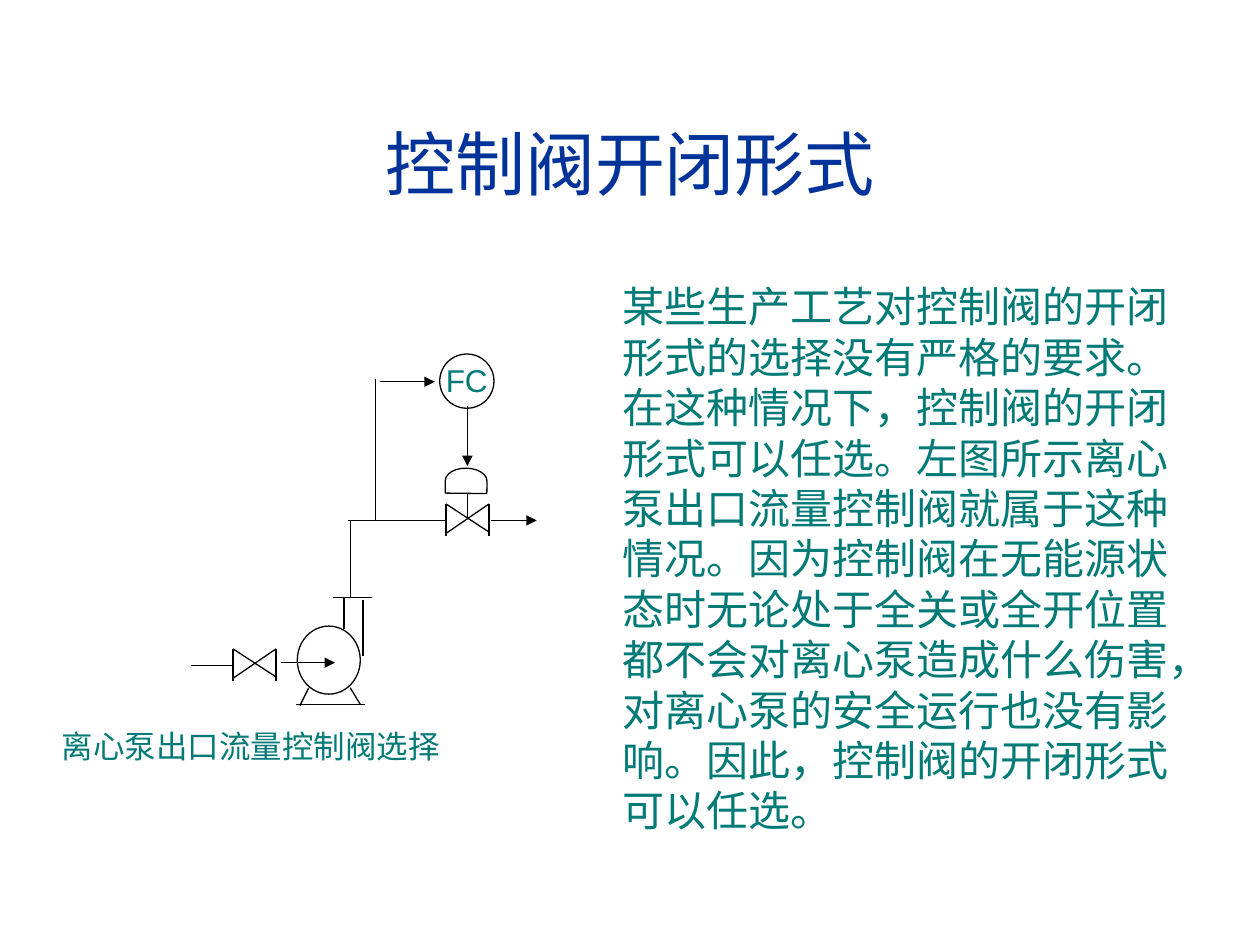
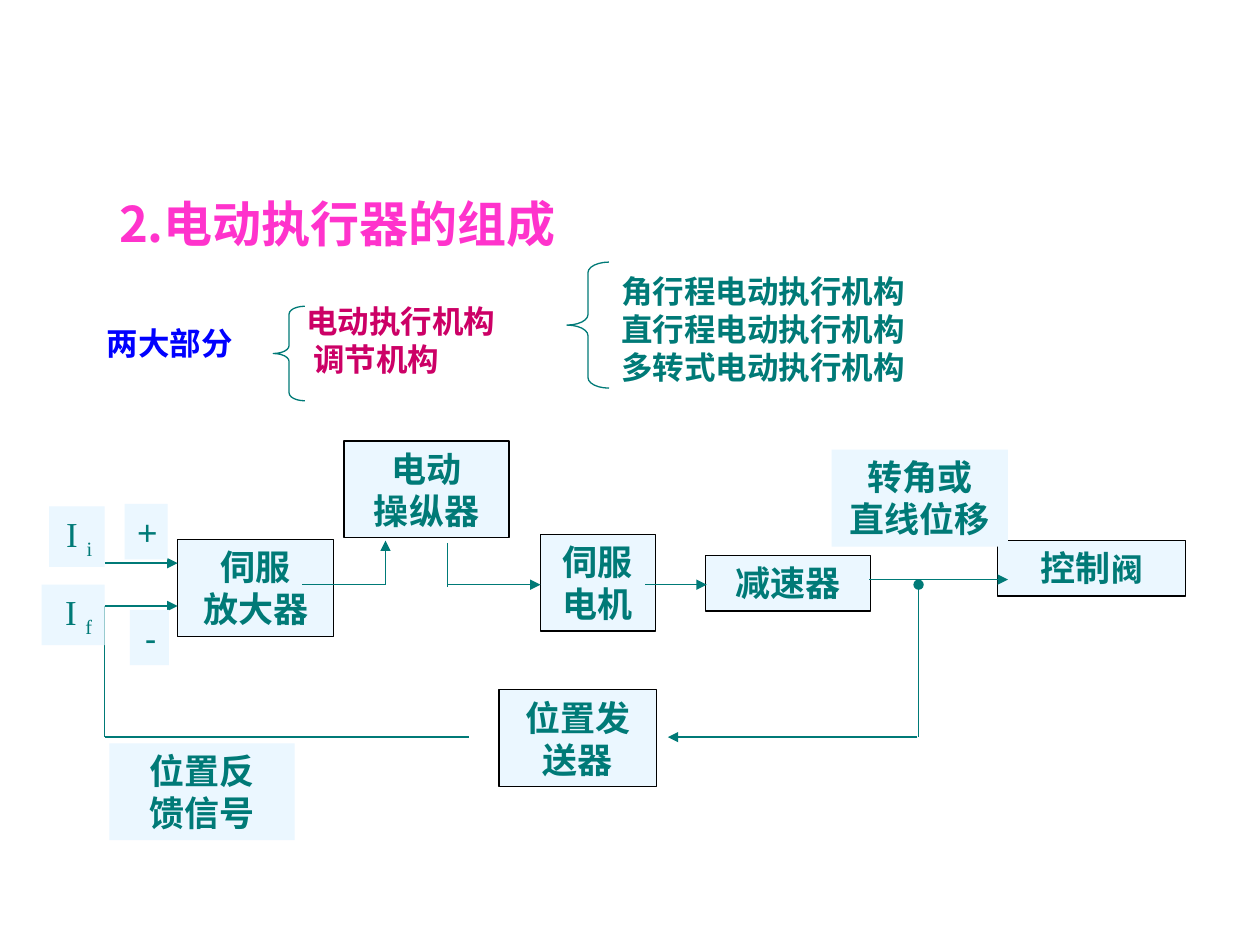
"""Build two slides on control valve action and the parts of an electric actuator."""
from dataclasses import dataclass
from typing import NamedTuple, Optional, Union

from lxml.etree import SubElement
from pptx import Presentation
from pptx.dml.color import RGBColor
from pptx.enum.shapes import MSO_CONNECTOR, MSO_SHAPE
from pptx.enum.text import MSO_ANCHOR, PP_ALIGN
from pptx.oxml.ns import qn
from pptx.shapes.base import BaseShape
from pptx.slide import Slide
from pptx.util import Pt


@dataclass(frozen=True)
class Theme:
    """Colours, fonts and sizes used by both slides."""
    title: str = "003399"
    teal: str = "007A77"
    pink: str = "FF33CC"
    crimson: str = "CC0066"
    blue: str = "0000FF"
    black: str = "000000"
    white: str = "FFFFFF"
    pale: str = "EBF7FF"
    sans: str = "Arial"
    chinese: str = "Noto Sans CJK SC"
    serif: str = "Times New Roman"
    title_size: float = 40
    heading_size: float = 28
    body_size: float = 24
    block_size: float = 20
    small_size: float = 18
    line_width: float = 0.75


THEME = Theme()


class Frame(NamedTuple):
    """Place and size in points."""
    left: float
    top: float
    width: float
    height: float


class Span(NamedTuple):
    """Part of a paragraph with its own size or a subscript."""
    text: str
    size: Optional[float] = None
    subscript: bool = False


class Line(NamedTuple):
    """Straight line in points with optional ends."""
    x1: float
    y1: float
    x2: float
    y2: float
    tail: str = ""
    head: str = ""


class Outline(NamedTuple):
    """Preset shape without text."""
    kind: MSO_SHAPE
    frame: Frame
    fill: Optional[str] = THEME.white
    color: str = THEME.black
    rotation: float = 0
    adjustment: Optional[float] = None


class Paragraph(NamedTuple):
    """Spans of one paragraph and its left indent."""
    spans: tuple[Span, ...]
    indent: float = 0


@dataclass(frozen=True)
class Label:
    """Text box, filled and bordered on request."""
    frame: Frame
    paragraphs: tuple[Union[str, Paragraph], ...]
    size: float = THEME.small_size
    color: str = THEME.teal
    font: str = THEME.sans
    bold: bool = False
    align: PP_ALIGN = PP_ALIGN.LEFT
    anchor: MSO_ANCHOR = MSO_ANCHOR.TOP
    fill: Optional[str] = None
    border: Optional[str] = None
    wrap: bool = True


def block(frame: Frame, *paragraphs: Union[str, Paragraph], border: Optional[str] = THEME.black) -> Label:
    """Describe a pale block with bold centred text."""
    return Label(frame, paragraphs, THEME.block_size, bold=True, align=PP_ALIGN.CENTER,
                 fill=THEME.pale, border=border)


def signal(frame: Frame, *spans: Span, font: str = THEME.sans) -> Label:
    """Describe a pale signal mark with text set to the right."""
    return Label(frame, (Paragraph(spans),), THEME.block_size, font=font,
                 align=PP_ALIGN.RIGHT, fill=THEME.pale)


def valve(left: float, top: float) -> list[Line]:
    """Return the two posts and two diagonals of a valve symbol."""
    right = left + 24.5
    posts = [Line(x, top, x, top + 18.4) for x in (left, right)]
    return posts + [Line(left, top, right, top + 16), Line(right, top, left, top + 16.8)]


def paint(shape: BaseShape, fill: Optional[str], border: Optional[str]) -> None:
    """Set fill and border, with none where no colour is given."""
    if fill:
        shape.fill.solid()
        shape.fill.fore_color.rgb = RGBColor.from_string(fill)
    else:
        shape.fill.background()
    if border:
        shape.line.color.rgb = RGBColor.from_string(border)
        shape.line.width = Pt(THEME.line_width)
    else:
        shape.line.fill.background()


def draw_line(slide: Slide, line: Line, color: str) -> None:
    """Draw one connector with its ends."""
    connector = slide.shapes.add_connector(
        MSO_CONNECTOR.STRAIGHT, Pt(line.x1), Pt(line.y1), Pt(line.x2), Pt(line.y2))
    connector.line.color.rgb = RGBColor.from_string(color)
    connector.line.width = Pt(THEME.line_width)
    for tag, kind in (("a:headEnd", line.head), ("a:tailEnd", line.tail)):
        if kind:
            SubElement(connector.line._get_or_add_ln(), qn(tag), type=kind)
    SubElement(connector._element.spPr, qn("a:effectLst"))


def draw_outline(slide: Slide, outline: Outline) -> None:
    """Draw one preset shape."""
    shape = slide.shapes.add_shape(outline.kind, *map(Pt, outline.frame))
    shape.shadow.inherit = False
    shape.rotation = outline.rotation
    if outline.adjustment is not None:
        shape.adjustments[0] = outline.adjustment
    paint(shape, outline.fill, outline.color)


def draw_label(slide: Slide, label: Label) -> None:
    """Draw one text box with its paragraphs."""
    shape = slide.shapes.add_textbox(*map(Pt, label.frame))
    paint(shape, label.fill, label.border)
    text_frame = shape.text_frame
    text_frame.word_wrap = label.wrap
    text_frame.vertical_anchor = label.anchor
    for index, content in enumerate(label.paragraphs):
        if isinstance(content, str):
            content = Paragraph((Span(content),))
        paragraph = text_frame.add_paragraph() if index else text_frame.paragraphs[0]
        paragraph.alignment = label.align
        if content.indent:
            paragraph._p.get_or_add_pPr().set("marL", str(Pt(content.indent)))
        paragraph.font.name = label.font
        paragraph.font.size = Pt(label.size)
        paragraph.font.bold = label.bold
        paragraph.font.color.rgb = RGBColor.from_string(label.color)
        for span in content.spans:
            run = paragraph.add_run()
            run.text = span.text
            if span.size:
                run.font.size = Pt(span.size)
            if span.subscript:
                run.font._element.set("baseline", "-25000")


def draw_all(slide: Slide, items: list, line_color: str) -> None:
    """Draw described elements from back to front."""
    for item in items:
        if isinstance(item, Line):
            draw_line(slide, item, line_color)
        elif isinstance(item, Outline):
            draw_outline(slide, item)
        else:
            draw_label(slide, item)


PIPE_Y = 297.4
FLANGE_Y = 341.3
BASE_Y = 402.5

PUMP_PIPES = [
    Line(198.7, PIPE_Y, 254.9, PIPE_Y),
    Line(200.2, PIPE_Y, 200.2, FLANGE_Y),
    Line(190.1, FLANGE_Y, 212.4, FLANGE_Y),
    Line(196.6, FLANGE_Y, 196.6, 359.3),
    Line(207.4, 342.7, 207.4, 375.1),
    Line(109.4, 380.2, 133.2, 380.2),
    Line(214.6, PIPE_Y, 214.6, 216.7),
    Line(267.1, 278.6, 267.1, 295.9),
    Line(176.4, 393.1, 171.4, 403.2),
    Line(200.2, 393.1, 205.9, BASE_Y),
    Line(169.2, BASE_Y, 208.8, BASE_Y),
    *valve(254.9, 288),
    *valve(133.2, 370.8),
]
PUMP_EQUIPMENT = [
    Outline(MSO_SHAPE.FLOWCHART_DELAY, Frame(259.2, 262.8, 14.4, 23.8), rotation=270.7),
    Outline(MSO_SHAPE.OVAL, Frame(251.3, 202.3, 31, 31)),
    Outline(MSO_SHAPE.OVAL, Frame(169.9, 357.8, 36, 38.9)),
]
PUMP_ARROWS = [
    Line(280.8, PIPE_Y, 306.7, PIPE_Y, "triangle"),
    Line(267.1, 231.8, 267.1, 266.4, "triangle"),
    Line(160.6, 378.7, 191.5, 378.7, "triangle"),
    Line(217.4, 218.2, 248.4, 218.2, "triangle"),
]
PUMP_TEXTS = [
    Label(Frame(24, 48, 672, 90), ("控制阀开闭形式",), THEME.title_size, THEME.title,
          align=PP_ALIGN.CENTER, anchor=MSO_ANCHOR.MIDDLE),
    Label(Frame(247.7, 203, 45.4, 28.8), ("FC",)),
    Label(Frame(28.1, 411.8, 317.5, 28.8), ("离心泵出口流量控制阀选择",), align=PP_ALIGN.JUSTIFY),
    Label(Frame(348.5, 157, 345.6, 324), (
        "某些生产工艺对控制阀的开闭形式的选择没有严格的要求。在这种情况下，控制阀的开闭形式可以任选。"
        "左图所示离心泵出口流量控制阀就属于这种情况。因为控制阀在无能源状态时无论处于全关或全开位置"
        "都不会对离心泵造成什么伤害，对离心泵的安全运行也没有影响。因此，控制阀的开闭形式可以任选。",
    ), THEME.body_size),
]

ACTUATOR_OUTLINE = [
    Label(Frame(61, 106.8, 293, 42), ("2.电动执行器的组成",), THEME.heading_size, THEME.pink,
          THEME.chinese, bold=True),
    Label(Frame(167.8, 169.2, 198, 50.4),
          ("电动执行机构", Paragraph((Span("调节机构"),), indent=4)),
          color=THEME.crimson, font=THEME.chinese, bold=True),
    Label(Frame(54, 181.4, 86.4, 28.8), ("两大部分",), color=THEME.blue, bold=True, wrap=False),
    Label(Frame(347.8, 151.9, 257.8, 72),
          tuple(f"{motion}电动执行机构" for motion in ("角行程", "直行程", "多转式")), bold=True),
    *(Outline(MSO_SHAPE.LEFT_BRACE, frame, None, THEME.teal, adjustment=0.25)
      for frame in (Frame(156.2, 175, 18, 54), Frame(324, 149.8, 24, 72))),
]

TALL, SHORT = 55.4, 31.7
LOOP_Y = 334.1
FEEDBACK_X, FEEDBACK_Y = 59.8, 421.2
INPUT_Y, RETURN_Y = 321.8, 346.3

ACTUATOR_BLOCKS = [
    block(Frame(196.6, 252, 94.3, TALL), "电动", "操纵器"),
    block(Frame(101.5, 308.2, 89.3, TALL), "伺服", "放大器"),
    block(Frame(308.9, 305.3, 65.5, TALL), "伺服", "电机"),
    block(Frame(570.2, 308.9, 107.3, SHORT),
          Paragraph((Span("控制"), Span("阀", THEME.small_size)))),
    block(Frame(285.1, 394.2, 90, TALL), "位置发送器"),
    block(Frame(403.2, 317.5, 94.3, SHORT), "减速器"),
    block(Frame(475.2, 257, 100.8, TALL), "转角或", "直线位移", border=None),
]
ACTUATOR_LINES = [
    Line(220.3, LOOP_Y, 220.3, 308.9, "triangle"),
    Line(220.3, LOOP_Y, 172.8, LOOP_Y),
    Line(255.6, 310.3, 255.6, 335.5),
    Line(255.6, LOOP_Y, 308.9, LOOP_Y, "triangle"),
    Line(368.6, LOOP_Y, 403.9, LOOP_Y, "triangle"),
    Line(496.8, 331.2, 576, 331.2, "triangle"),
    Line(524.9, LOOP_Y, 524.9, FEEDBACK_Y, head="oval"),
    Line(524.2, FEEDBACK_Y, 381.6, FEEDBACK_Y, "triangle"),
    Line(FEEDBACK_X, INPUT_Y, 101.5, INPUT_Y, "triangle"),
    Line(FEEDBACK_X, RETURN_Y, 101.5, RETURN_Y, "triangle"),
    Line(267.8, FEEDBACK_Y, FEEDBACK_X, FEEDBACK_Y),
    Line(FEEDBACK_X, FEEDBACK_Y, FEEDBACK_X, RETURN_Y),
]
ACTUATOR_SIGNALS = [
    signal(Frame(71.3, 288, 24.5, SHORT), Span("+")),
    signal(Frame(74.2, 348.5, 22.3, SHORT), Span("-")),
    block(Frame(62.6, 424.8, 105.8, TALL), "位置反", "馈信号", border=None),
    signal(Frame(28.1, 289.4, 31.7, 34.6), Span("I "), Span("i", subscript=True), font=THEME.serif),
    signal(Frame(23.8, 334.1, 36, 34.6), Span("I "), Span("f", subscript=True), font=THEME.serif),
]


def main() -> None:
    """Build both slides and save the presentation."""
    presentation = Presentation()
    presentation.slide_width, presentation.slide_height = Pt(720), Pt(540)
    blank = presentation.slide_layouts[6]
    pages = (
        (PUMP_PIPES + PUMP_EQUIPMENT + PUMP_ARROWS + PUMP_TEXTS, THEME.black),
        (ACTUATOR_OUTLINE + ACTUATOR_BLOCKS + ACTUATOR_LINES + ACTUATOR_SIGNALS, THEME.teal),
    )
    for items, line_color in pages:
        draw_all(presentation.slides.add_slide(blank), items, line_color)
    presentation.save("out.pptx")


if __name__ == "__main__":
    main()
